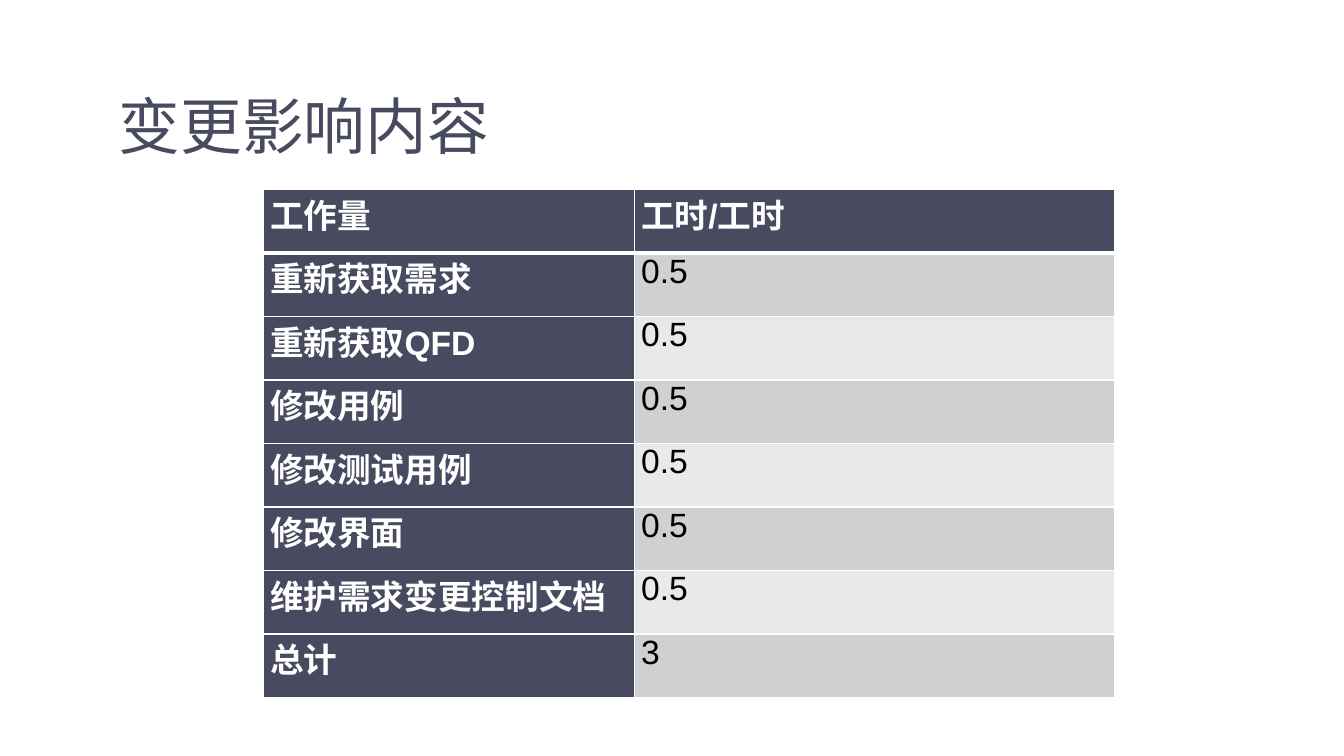
from dataclasses import dataclass

from lxml import etree
from pptx import Presentation
from pptx import util as u
from pptx.dml.color import RGBColor
from pptx.enum import text
from pptx.oxml import ns


@dataclass(frozen=True)
class Theme:
    font: str = "Arial"
    dark: str = "484A5F"
    light: str = "FFFFFF"
    ink: str = "000000"
    bands: tuple = ("CFD0D2", "E9E9EA")
    title_size: int = 44
    table_size: int = 24
    rule: int = 1
    header_rule: int = 3


EFFORT = [
    ("工作量", "工时/工时"),
    ("重新获取需求", "0.5"),
    ("重新获取QFD", "0.5"),
    ("修改用例", "0.5"),
    ("修改测试用例", "0.5"),
    ("修改界面", "0.5"),
    ("维护需求变更控制文档", "0.5"),
    ("总计", "3"),
]


class SlideBuilder:
    def __init__(self, deck, theme):
        self.theme = theme
        self.slide = deck.slides.add_slide(deck.slide_layouts[5])

    def apply(self, target, formats):
        for name, value in formats.items():
            setattr(target, name, value)

    def add_words(self, paragraph, words, size, color, bold=False):
        run = paragraph.add_run()
        run.text = words
        self.apply(run.font, {"name": self.theme.font, "size": u.Pt(size), "bold": bold})
        run.font.color.rgb = RGBColor.from_string(color)

    def title(self, words, left, top, width, height):
        heading = self.slide.shapes.title
        self.apply(heading, {"left": u.Inches(left), "top": u.Inches(top),
                             "width": u.Inches(width), "height": u.Inches(height)})
        self.apply(heading.text_frame, {"vertical_anchor": text.MSO_ANCHOR.MIDDLE,
                                        "auto_size": text.MSO_AUTO_SIZE.NONE,
                                        "word_wrap": True})
        paragraph = heading.text_frame.paragraphs[0]
        self.apply(paragraph, {"alignment": text.PP_ALIGN.LEFT, "line_spacing": 0.9})
        self.add_words(paragraph, words, self.theme.title_size, self.theme.dark)

    def borders(self, cell, widths):
        """Draw the cell's sides; widths maps L, R, T, B to points, in that order."""
        properties = cell._tc.get_or_add_tcPr()
        for side, points in widths.items():
            line = etree.SubElement(properties, ns.qn(f"a:ln{side}"), w=str(u.Pt(points)))
            fill = etree.SubElement(line, ns.qn("a:solidFill"))
            etree.SubElement(fill, ns.qn("a:srgbClr"), val=self.theme.light)

    def cell(self, cell, words, row, column):
        theme = self.theme
        heading = row == 0 or column == 0
        self.borders(cell, {"L": theme.rule, "R": theme.rule,
                            "T": theme.header_rule if row == 1 else theme.rule,
                            "B": theme.header_rule if row == 0 else theme.rule})
        cell.fill.solid()
        cell.fill.fore_color.rgb = RGBColor.from_string(
            theme.dark if heading else theme.bands[(row - 1) % 2])
        self.apply(cell, {"margin_left": u.Inches(0.07), "margin_right": u.Inches(0.07),
                          "margin_top": 0, "margin_bottom": 0})
        paragraph = cell.text_frame.paragraphs[0]
        paragraph.alignment = text.PP_ALIGN.JUSTIFY
        self.add_words(paragraph, words, theme.table_size,
                       theme.light if heading else theme.ink, heading)

    def table(self, rows, left, top, widths, row_height):
        table = self.slide.shapes.add_table(
            len(rows), len(widths), u.Inches(left), u.Inches(top),
            u.Inches(sum(widths)), u.Inches(row_height * len(rows))).table
        table.first_col = True
        for column, width in zip(table.columns, widths):
            column.width = u.Inches(width)
        for r, values in enumerate(rows):
            for c, words in enumerate(values):
                self.cell(table.cell(r, c), words, r, c)


def main():
    deck = Presentation()
    deck.slide_width, deck.slide_height = u.Inches(13.33), u.Inches(7.5)
    builder = SlideBuilder(deck, Theme())
    builder.table(EFFORT, 2.61, 1.88, (3.68, 4.77), 0.63)
    builder.title("变更影响内容", 1.08, 0.56, 11.5, 1.45)
    deck.save("out.pptx")


if __name__ == "__main__":
    main()
